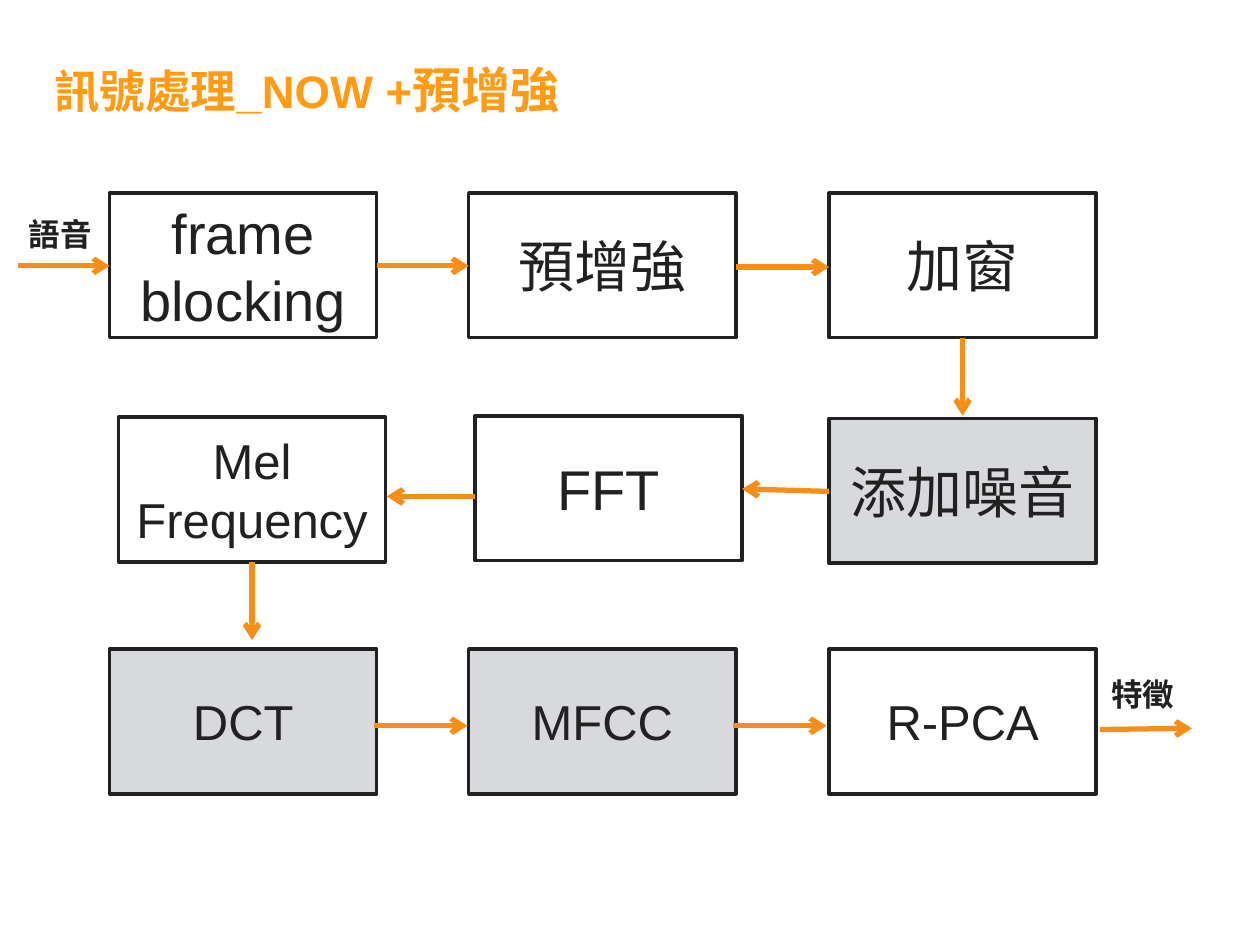
"""Build the speech signal processing flow slide."""
import pptx
import pptx.util
import pptx.dml.color
import pptx.enum.shapes
import pptx.enum.text
import pptx.oxml

inch, points = pptx.util.Inches, pptx.util.Pt
align, anchor = pptx.enum.text.PP_ALIGN, pptx.enum.text.MSO_ANCHOR
tint = {"title": "FF9B14", "ink": "212121", "arrow": "F58F17",
        "white": "FFFFFF", "grey": "D8D9DC"}
cols = [0.87, 3.72, 6.58]
rows = [1.53, 3.31, 5.15]
wide, high = 2.12, 1.15


def shade(name):
    return pptx.dml.color.RGBColor.from_string(tint[name])


def style(run, size, name, bold=False):
    run.font.name = "Arial"
    run.font.size = points(size)
    run.font.bold = bold
    run.font.color.rgb = shade(name)


deck = pptx.Presentation()
deck.slide_width, deck.slide_height = inch(10), inch(7.5)
slide = deck.slides.add_slide(deck.slide_layouts[5])
shapes = slide.shapes

title = shapes.title
title.left, title.top, title.width, title.height = map(inch, (0.33, 0.33, 9.25, 0.75))
frame = title.text_frame
frame.auto_size = pptx.enum.text.MSO_AUTO_SIZE.NONE
frame.vertical_anchor = anchor.MIDDLE
line = frame.paragraphs[0]
line.alignment = align.LEFT
for text, size in [("訊號處理_NOW +", 26), ("預增強", 28)]:
    run = line.add_run()
    run.text = text
    style(run, size, "title", True)

steps = [
    ("frame blocking", 0, 0, 0, 0, 32, "white"),
    ("預增強", 1, 0, 0, 0, 32, "white"),
    ("加窗", 2, 0, 0, 0, 32, "white"),
    ("添加噪音", 2, 1, 0, 0.01, 32, "grey"),
    ("FFT", 1, 1, 0.05, -0.01, 32, "white"),
    ("Mel Frequency", 0, 1, 0.07, 0, 28, "white"),
    ("DCT", 0, 2, 0, 0, 28, "grey"),
    ("MFCC", 1, 2, 0, 0, 28, "grey"),
    ("R-PCA", 2, 2, 0, 0, 28, "white"),
]
for text, col, row, right, down, size, fill in steps:
    box = shapes.add_shape(
        pptx.enum.shapes.MSO_SHAPE.RECTANGLE, inch(cols[col] + right),
        inch(rows[row] + down), inch(wide), inch(high))
    box.shadow.inherit = False
    box.fill.solid()
    box.fill.fore_color.rgb = shade(fill)
    box.line.color.rgb = shade("ink")
    box.line.width = points(2)
    frame = box.text_frame
    frame.word_wrap = True
    frame.vertical_anchor = anchor.MIDDLE
    frame.text = text
    frame.paragraphs[0].alignment = align.CENTER
    style(frame.paragraphs[0].runs[0], size, "ink")

gap = cols[1] - cols[0] - wide
ends = [col + wide for col in cols]
feet = [row + high for row in rows]
arrows = [
    (cols[0] - gap, 2.11, cols[0], 2.11),
    (ends[0], 2.11, cols[1], 2.11),
    (ends[1], 2.12, cols[2], 2.12),
    (cols[2] + wide / 2, feet[0], cols[2] + wide / 2, 3.3),
    (cols[2], 3.9, ends[1] + 0.05, 3.88),
    (cols[1] + 0.05, 3.94, ends[0] + 0.08, 3.94),
    (2, feet[1], 2, 5.08),
    (ends[0] - 0.02, 5.76, cols[1] - 0.01, 5.76),
    (ends[1] - 0.02, 5.76, cols[2] - 0.02, 5.76),
    (ends[2] + 0.03, 5.79, ends[2] + 0.03 + gap, 5.78),
]
for spot in arrows:
    link = shapes.add_connector(
        pptx.enum.shapes.MSO_CONNECTOR.STRAIGHT, *map(inch, spot))
    link.line.color.rgb = shade("arrow")
    link.line.width = points(3)
    tail = pptx.oxml.ns.qn("a:tailEnd")
    link.line._get_or_add_ln().makeelement(tail)
    head = pptx.oxml.xmlchemy.OxmlElement("a:tailEnd")
    head.set("type", "arrow")
    link.line._get_or_add_ln().append(head)
    link._element.spPr.append(pptx.oxml.xmlchemy.OxmlElement("a:effectLst"))

for text, left, top in [("語音", 0.13, 1.66), ("特徵", 8.72, 5.31)]:
    label = shapes.add_textbox(inch(left), inch(top), inch(0.74), inch(0.4))
    label.text_frame.word_wrap = True
    label.text_frame.text = text
    style(label.text_frame.paragraphs[0].runs[0], 18, "ink", True)

deck.save("out.pptx")
